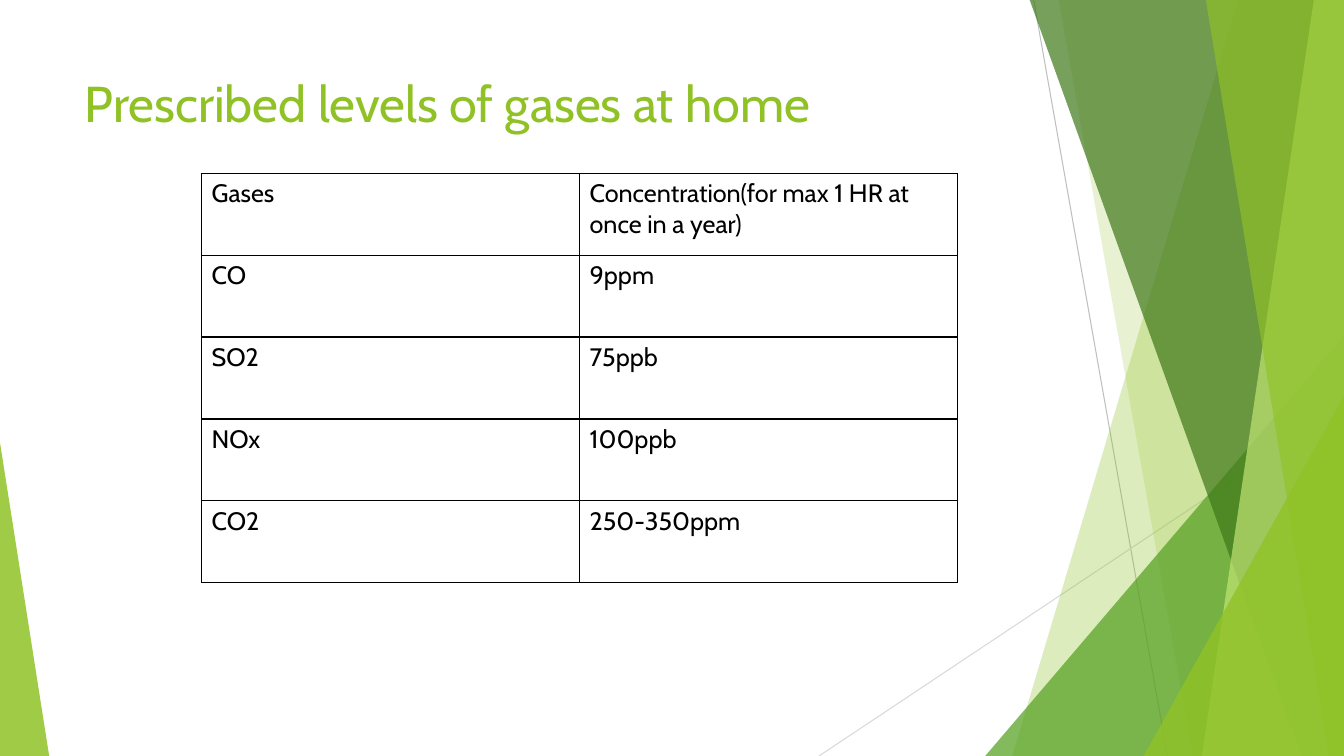
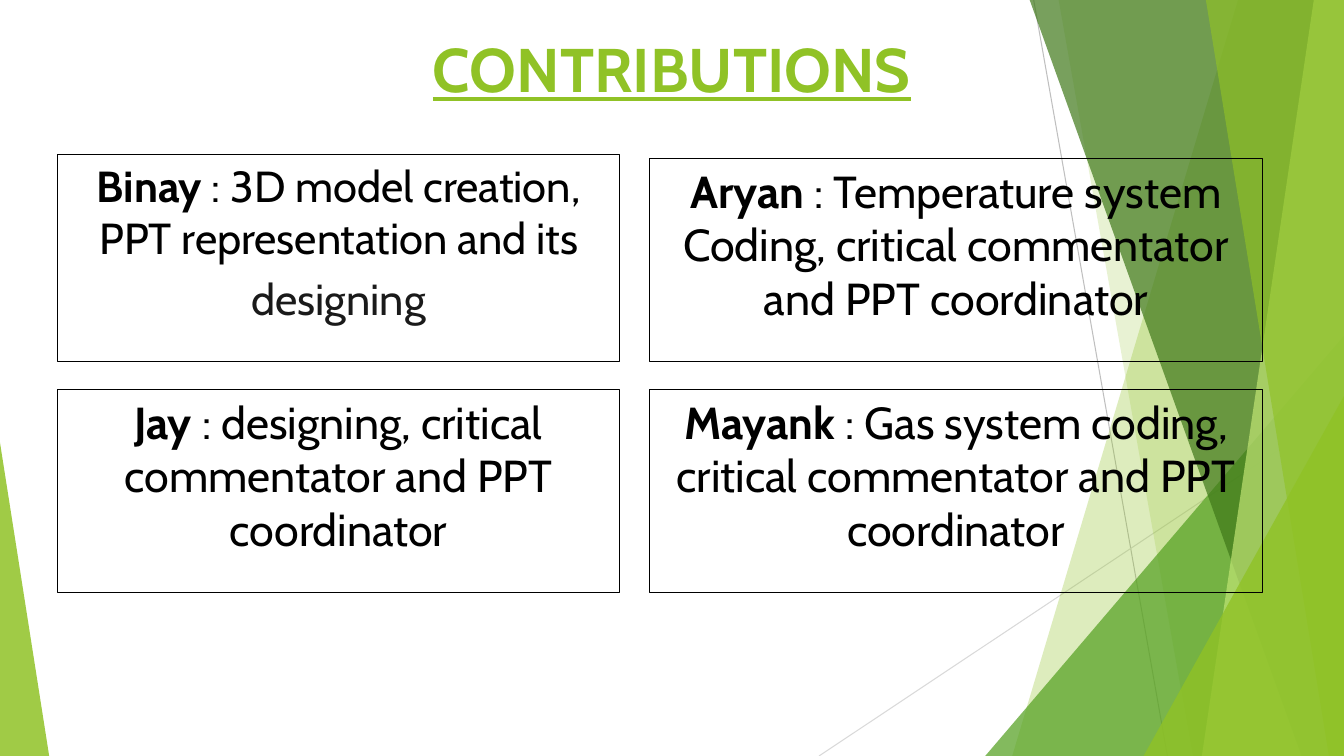
from collections import namedtuple
from dataclasses import dataclass

from lxml import etree
from pptx import Presentation
from pptx.dml.color import RGBColor as RGB
from pptx.enum.shapes import MSO_CONNECTOR as CONN, MSO_SHAPE as SHAPE
from pptx.enum.text import MSO_ANCHOR as ANCHOR, PP_ALIGN as ALIGN
from pptx.oxml.ns import qn
from pptx.util import Cm, Pt

Box = namedtuple("Box", "left top width height")


@dataclass(frozen=True)
class Theme:
    font: str = "Cabin"
    lime: str = "90C226"
    pale: str = "C0E474"
    leaf: str = "54A021"
    forest: str = "3F7819"
    ink: str = "000000"
    soft_ink: str = "1A1A1A"
    ray_dark: str = "BFBFBF"
    ray_light: str = "D9D9D9"
    title: int = 36
    headline: int = 44
    cell: int = 18
    card: int = 32
    card_small: int = 31
    hairline: float = 0.75
    grid: float = 1


T = Theme()
PAGE = Box(Cm(0), Cm(0), Cm(33.87), Cm(19.05))

# Facets, back to front; widths in cm are measured from the page edge.
# "band": width at top, width at bottom; "right"/"left": triangle width, height
FACETS = [
    ("band", 2.67, 8.36, T.lime, 30),
    ("band", 7.19, 3.81, T.lime, 20),
    ("right", 9.04, 10.59, T.leaf, 72),
    ("band", 7.92, 1.07, T.forest, 70),
    ("band", 0.76, 3.58, T.pale, 70),
    ("band", 3.48, 0.38, T.lime, 65),
    ("right", 5.05, 9.07, T.lime, 80),
    ("left", 1.24, 7.9, T.lime, 85),
]

GASES = [
    ("Gases", "Concentration(for max 1 HR at once in a year)"),
    ("CO", "9ppm"),
    ("SO2", "75ppb"),
    ("NOx", "100ppb"),
    ("CO2", "250-350ppm"),
]

# Column (0 or 1), top and height in cm, type size, name, duties by paragraph
CARDS = [
    (0, 3.89, 5.21, T.card_small, "Binay",
     [" : 3D model creation, PPT representation and its", "designing"]),
    (1, 3.99, 5.13, T.card, "Aryan",
     [" : Temperature system Coding, critical commentator and PPT coordinator"]),
    (0, 9.81, 5.13, T.card, "Jay",
     [" : designing, critical commentator and PPT coordinator"]),
    (1, 9.81, 5.13, T.card, "Mayank",
     [" : Gas system coding, critical commentator and PPT coordinator"]),
]
CARD_COLUMNS = [(1.45, 14.17), (16.36, 15.47)]


def style_run(r, size, color, bold=False, underline=False):
    f = r.font
    f.name, f.size, f.bold, f.underline = T.font, Pt(size), bold, underline
    f.color.rgb = RGB.from_string(color)


def fill_facet(sp, color, opacity):
    sp.shadow.inherit = False
    sp.line.fill.background()
    sp.fill.solid()
    sp.fill.fore_color.rgb = RGB.from_string(color)
    clr = sp.element.spPr.find(".//" + qn("a:srgbClr"))
    etree.SubElement(clr, qn("a:alpha")).set("val", str(opacity * 1000))


def add_ray(shapes, start, end, color):
    ray = shapes.add_connector(CONN.STRAIGHT, *start, *end)
    ray.line.color.rgb = RGB.from_string(color)
    ray.line.width = Pt(T.hairline)
    etree.SubElement(ray.element.spPr, qn("a:effectLst"))


def add_facet(shapes, box, kind, a, b, color, opacity):
    right, bottom = box.left + box.width, box.top + box.height
    if kind == "band":
        pen = shapes.build_freeform(right - Cm(a), box.top)
        pen.add_line_segments([(right, box.top), (right, bottom),
                               (right - Cm(b), bottom)])
        sp = pen.convert_to_shape()
    else:
        left = box.left if kind == "left" else right - Cm(a)
        sp = shapes.add_shape(SHAPE.ISOSCELES_TRIANGLE, left, bottom - Cm(b),
                              Cm(a), Cm(b))
        sp.adjustments[0] = 0 if kind == "left" else 1
    fill_facet(sp, color, opacity)


def decorate_layout(layout, slide, box):
    """Draw the facets as one group and place it behind the layout's parts."""
    group = slide.shapes.add_group_shape()
    right, bottom = box.left + box.width, box.top + box.height
    add_ray(group.shapes, (right - Cm(7.82), box.top),
            (right - Cm(4.45), bottom), T.ray_dark)
    add_ray(group.shapes, (right, box.top + Cm(10.24)),
            (right - Cm(13.23), bottom), T.ray_light)
    for facet in FACETS:
        add_facet(group.shapes, box, *facet)
    for number, props in enumerate(group.element.iter(qn("p:cNvPr")), 100):
        props.set("id", str(number))
    layout.shapes.element.insert(2, group.element)


def set_title(slide, box, text, size, align=ALIGN.LEFT, strong=False):
    title = slide.shapes.title
    title.left, title.top, title.width, title.height = box
    tf = title.text_frame
    tf.text = text
    tf.vertical_anchor = ANCHOR.TOP
    p = tf.paragraphs[0]
    p.alignment = align
    style_run(p.runs[0], size, T.lime, strong, strong)


def set_borders(cell):
    tc_pr = cell._tc.get_or_add_tcPr()
    for side in ("a:lnL", "a:lnR", "a:lnT", "a:lnB"):
        ln = etree.SubElement(tc_pr, qn(side), w=str(Pt(T.grid)))
        fill = etree.SubElement(ln, qn("a:solidFill"))
        etree.SubElement(fill, qn("a:srgbClr"), val=T.ink)


def add_gas_table(slide, box, rows):
    table = slide.shapes.add_table(len(rows), len(rows[0]), *box).table
    table.first_row = table.horz_banding = False
    for i, row in enumerate(rows):
        for j, text in enumerate(row):
            cell = table.cell(i, j)
            cell.text = text
            style_run(cell.text_frame.paragraphs[0].runs[0], T.cell, T.ink)
            set_borders(cell)
            cell.fill.background()


def add_card(slide, box, size, name, duties):
    sp = slide.shapes.add_shape(SHAPE.RECTANGLE, *box)
    sp.shadow.inherit = False
    sp.fill.background()
    sp.line.color.rgb = RGB.from_string(T.ink)
    sp.line.width = Pt(T.hairline)
    tf = sp.text_frame
    tf.word_wrap = True
    tf.vertical_anchor = ANCHOR.TOP
    # Name and first duty share a paragraph
    p = tf.paragraphs[0]
    p.alignment = ALIGN.CENTER
    for text, bold in ((name, True), (duties[0], False)):
        r = p.add_run()
        r.text = text
        style_run(r, size, T.ink, bold)
    # Further duties in a softer tone
    for duty in duties[1:]:
        p = tf.add_paragraph()
        p.text = duty
        p.alignment = ALIGN.CENTER
        p.space_before = Pt(6)
        style_run(p.runs[0], size, T.soft_ink)


def build_gas_slide(slide):
    set_title(slide, Box(Cm(1.88), Cm(1.7), Cm(23.88), Cm(3.66)),
              "Prescribed levels of gases at home", T.title)
    add_gas_table(slide, Box(Cm(5.08), Cm(4.37), Cm(19.05), Cm(10.31)), GASES)


def build_contributions_slide(slide):
    set_title(slide, Box(Cm(3.18), Cm(0.66), Cm(27.51), Cm(3.43)),
              "CONTRIBUTIONS", T.headline, ALIGN.CENTER, strong=True)
    for column, top, height, size, name, duties in CARDS:
        left, width = CARD_COLUMNS[column]
        add_card(slide, Box(Cm(left), Cm(top), Cm(width), Cm(height)),
                 size, name, duties)


def main():
    prs = Presentation()
    prs.slide_width, prs.slide_height = PAGE.width, PAGE.height
    layout = prs.slide_layouts.get_by_name("Title Only")
    gas, contributions = (prs.slides.add_slide(layout) for _ in range(2))
    decorate_layout(layout, gas, PAGE)
    build_gas_slide(gas)
    build_contributions_slide(contributions)
    prs.save("out.pptx")


if __name__ == "__main__":
    main()
